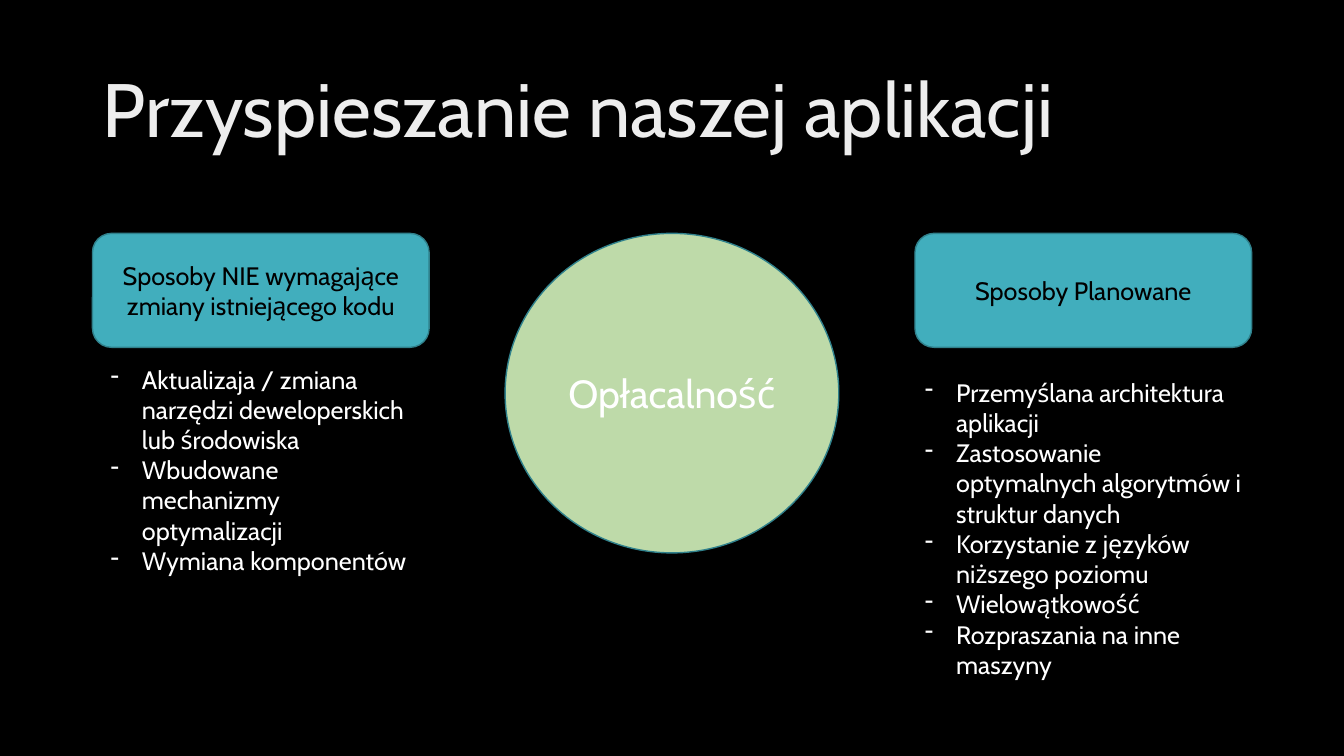
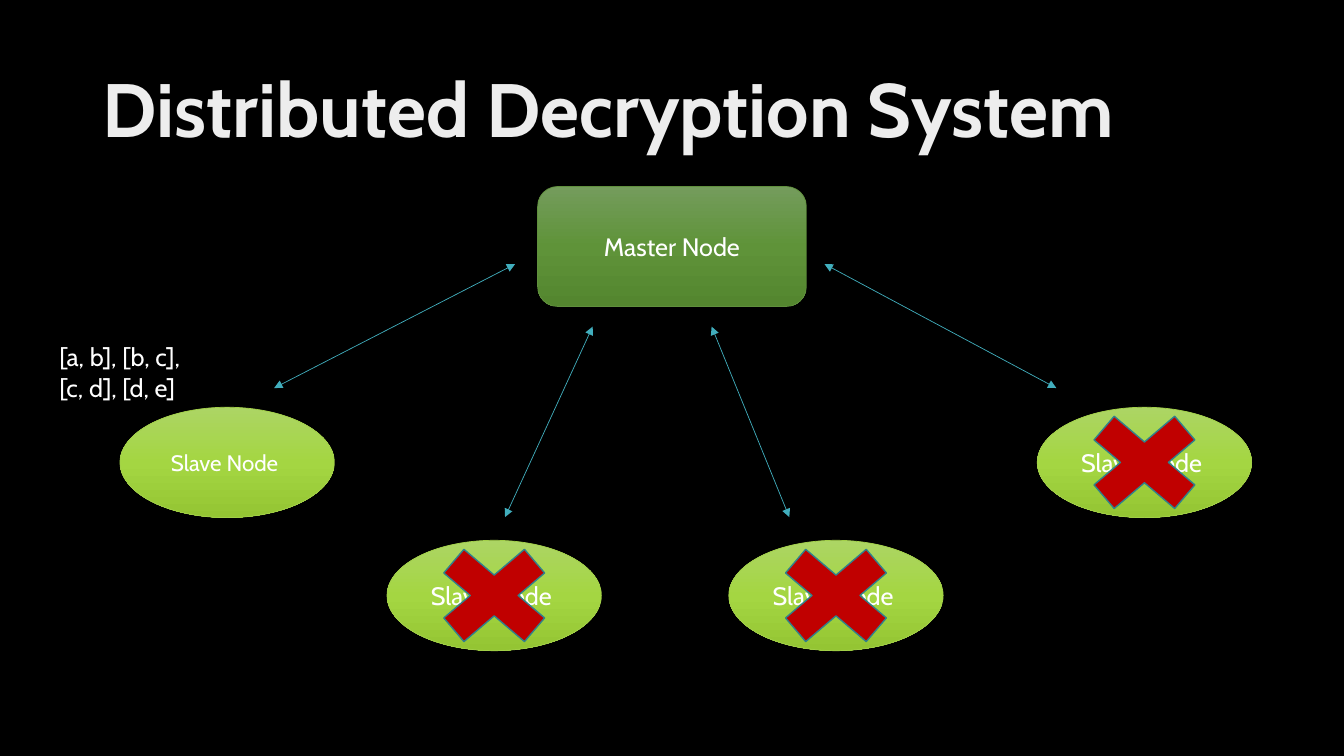
"""Builds two dark slides: ways to speed up an application, and a distributed system."""
from copy import deepcopy

from lxml import etree
from pptx import Presentation
from pptx.dml.color import RGBColor
from pptx.enum.shapes import MSO_CONNECTOR, MSO_SHAPE
from pptx.enum.text import MSO_ANCHOR, MSO_AUTO_SIZE, PP_ALIGN
from pptx.oxml.ns import qn
from pptx.util import Inches, Pt

ROUNDED, OVAL, CROSS = MSO_SHAPE.ROUNDED_RECTANGLE, MSO_SHAPE.OVAL, MSO_SHAPE.MATH_MULTIPLY
STRAIGHT = MSO_CONNECTOR.STRAIGHT
LEFT, CENTER = PP_ALIGN.LEFT, PP_ALIGN.CENTER
TOP, MIDDLE = MSO_ANCHOR.TOP, MSO_ANCHOR.MIDDLE
FIXED, GROW = MSO_AUTO_SIZE.NONE, MSO_AUTO_SIZE.SHAPE_TO_FIT_TEXT

FONT = "Cabin"
BLACK = RGBColor(0x00, 0x00, 0x00)
WHITE = RGBColor(0xFF, 0xFF, 0xFF)
TITLE_GREY = RGBColor(0xED, 0xED, 0xED)
TEAL = RGBColor(0x41, 0xAE, 0xBD)
DARK_TEAL = RGBColor(0x30, 0x81, 0x8C)
PALE_GREEN = RGBColor(0xBE, 0xDA, 0xA9)
RED = RGBColor(0xC0, 0x00, 0x00)
MASTER_EDGE = RGBColor(0x60, 0x8F, 0x3D)
SLAVE_EDGE = RGBColor(0xA2, 0xCF, 0x49)
MASTER_FILL = [RGBColor(0x74, 0x9C, 0x5C), RGBColor(0x5F, 0x93, 0x39), RGBColor(0x54, 0x86, 0x2F)]
SLAVE_FILL = [RGBColor(0xAC, 0xD5, 0x64), RGBColor(0xA4, 0xD6, 0x42), RGBColor(0x94, 0xC5, 0x33)]

prs = Presentation()
prs.slide_width, prs.slide_height = Inches(13.333), Inches(7.5)
COL, ROW = prs.slide_width / 100, prs.slide_height / 100
INDENT = Inches(0.31)

backdrop = prs.slide_master.background.fill
backdrop.solid()
backdrop.fore_color.rgb = BLACK
title_layout = prs.slide_layouts[5]


def set_part(part, box, lines, size, colour, align=LEFT, anchor=TOP, grow=False, bold=False):
    """Place a part on the 100 by 100 grid, write its lines and return their paragraphs."""
    x, y, w, h = box
    part.left, part.top = round(x * COL), round(y * ROW)
    part.width, part.height = round(w * COL), round(h * ROW)
    frame = part.text_frame
    frame.word_wrap = True
    frame.auto_size = GROW if grow else FIXED
    frame.vertical_anchor = anchor
    for number, line in enumerate(lines):
        paragraph = frame.add_paragraph() if number else frame.paragraphs[0]
        paragraph.alignment = align
        run = paragraph.add_run()
        run.text = line
        run.font.name, run.font.size, run.font.bold = FONT, Pt(size), bold
        run.font.color.rgb = colour
    return frame.paragraphs


def add_figure(slide, preset, box, fills, edge, edge_width, lines=(), size=18, colour=WHITE):
    """Add an outlined preset shape with one fill colour or a three-stop gradient."""
    figure = slide.shapes.add_shape(preset, 0, 0, 0, 0)
    figure.shadow.inherit = False
    figure.line.color.rgb, figure.line.width = edge, Pt(edge_width)
    if len(fills) == 1:
        figure.fill.solid()
        figure.fill.fore_color.rgb = fills[0]
    else:
        figure.fill.gradient()
        figure.fill.gradient_angle = 270
        stops = figure.element.spPr.find(".//" + qn("a:gsLst"))
        stops.insert(1, deepcopy(stops[0]))
        for stop, position, shade in zip(figure.fill.gradient_stops, (0, 0.5, 1), fills):
            stop.position, stop.color.rgb = position, shade
    set_part(figure, box, lines, size, colour, CENTER, MIDDLE)


slides = []
for heading, bold in (("Przyspieszanie naszej aplikacji", False), ("Distributed Decryption System", True)):
    slide = prs.slides.add_slide(title_layout)
    heading_lines = set_part(slide.shapes.title, (6.88, 5.33, 86.25, 19.33), [heading], 54,
                             TITLE_GREY, anchor=MIDDLE, bold=bold)
    heading_lines[0].line_spacing = 0.9
    slides.append(slide)
speedup, cluster = slides

METHODS = [
    (6.88, "Sposoby NIE wymagające zmiany istniejącego kodu", (7.5, 47.47, 24.38, 29.6), [
        "Aktualizaja / zmiana narzędzi deweloperskich lub środowiska",
        "Wbudowane mechanizmy optymalizacji",
        "Wymiana komponentów",
    ]),
    (68.08, "Sposoby Planowane", (68.08, 49.2, 25.05, 41.73), [
        "Przemyślana architektura aplikacji",
        "Zastosowanie optymalnych algorytmów i struktur danych",
        "Korzystanie z języków niższego poziomu",
        "Wielowątkowość",
        "Rozpraszania na inne maszyny",
    ]),
]
for left, label, list_box, items in METHODS:
    add_figure(speedup, ROUNDED, (left, 30.87, 25.05, 15.07), [TEAL], DARK_TEAL, 1, [label], colour=BLACK)
    item_list = speedup.shapes.add_textbox(0, 0, 0, 0)
    for paragraph in set_part(item_list, list_box, items, 18, WHITE, grow=True):
        properties = paragraph._p.get_or_add_pPr()
        properties.set("marL", str(INDENT))
        properties.set("indent", str(-INDENT))
        etree.SubElement(properties, qn("a:buChar")).set("char", "-")
add_figure(speedup, OVAL, (37.58, 30.87, 24.83, 42.27), [PALE_GREEN], DARK_TEAL, 1, ["Opłacalność"], 28)

add_figure(cluster, ROUNDED, (40, 24.67, 20, 15.87), MASTER_FILL, MASTER_EDGE, 0.5, ["Master Node"])

NODE_W, NODE_H = 15.95, 14.6
CROSS_W, CROSS_H = 11.55, 17.47
UPPER, LOWER = 53.87, 71.47
NODES = [(8.93, UPPER, 16, False), (28.8, LOWER, 18, True), (54.23, LOWER, 18, True), (77.18, UPPER, 18, True)]
for left, top, size, failed in NODES:
    add_figure(cluster, OVAL, (left, top, NODE_W, NODE_H), SLAVE_FILL, SLAVE_EDGE, 0.5, ["Slave Node "], size)
    if failed:
        cross_box = (left + (NODE_W - CROSS_W) / 2, top + (NODE_H - CROSS_H) / 2, CROSS_W, CROSS_H)
        add_figure(cluster, CROSS, cross_box, [RED], DARK_TEAL, 1)

LINKS = [
    (20.4, 51.33, 38.33, 34.93),
    (44.1, 43.2, 37.58, 68.4),
    (52.95, 43.2, 58.73, 68.4),
    (61.35, 34.93, 78.6, 51.33),
]
for x1, y1, x2, y2 in LINKS:
    link = cluster.shapes.add_connector(STRAIGHT, round(x1 * COL), round(y1 * ROW), round(x2 * COL), round(y2 * ROW))
    link.line.color.rgb, link.line.width = TEAL, Pt(0.5)
    outline = link.line._get_or_add_ln()
    for end in ("a:headEnd", "a:tailEnd"):
        etree.SubElement(outline, qn(end)).set("type", "triangle")
    etree.SubElement(link.element.spPr, qn("a:effectLst"))

ranges = cluster.shapes.add_textbox(0, 0, 0, 0)
set_part(ranges, (3.68, 44.53, 11.93, 9.47), ["[a, b], [b, c], [c, d], [d, e]"], 18, WHITE, grow=True)

prs.save("out.pptx")
